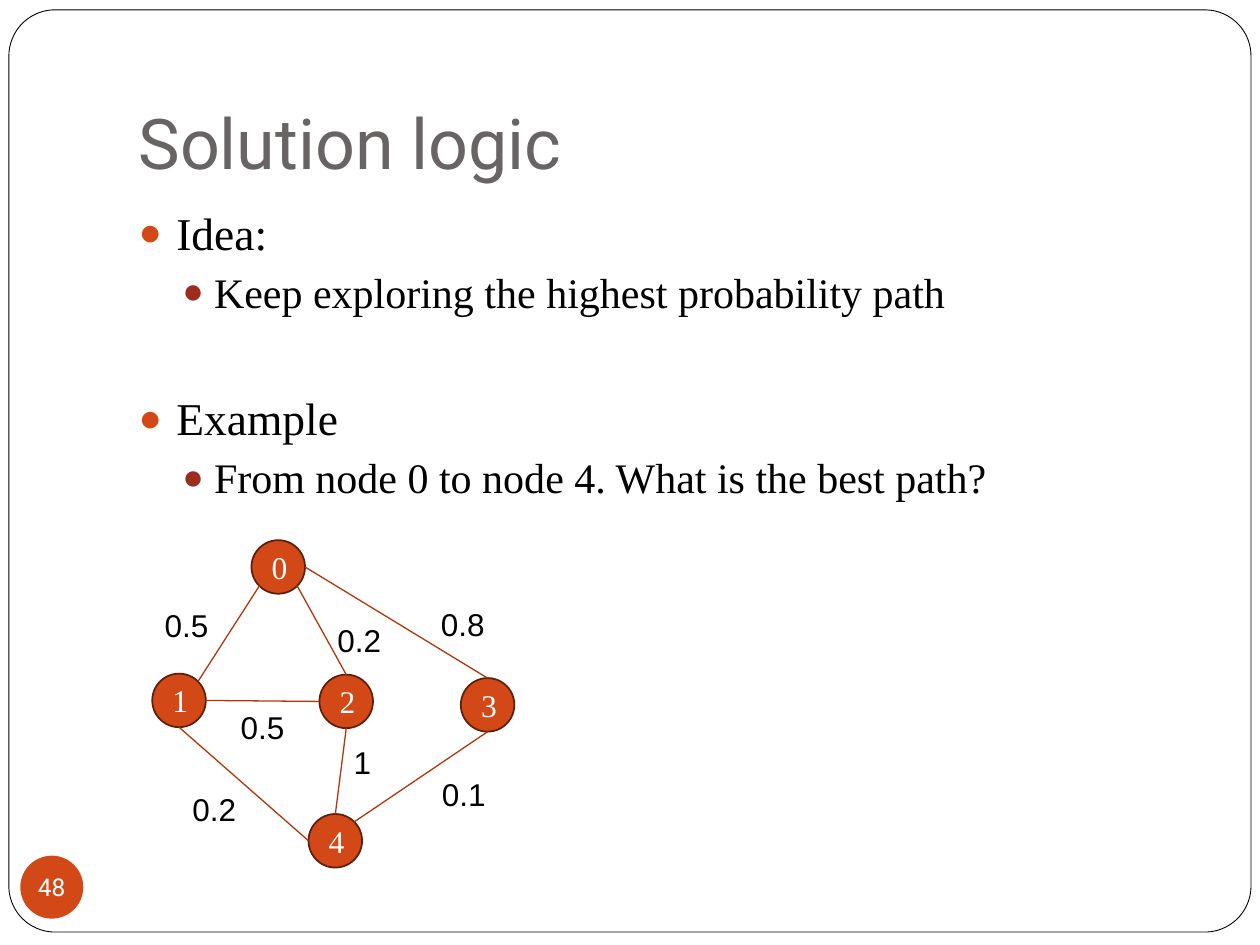
import math

import lxml.etree
import pptx
import pptx.dml.color
import pptx.enum.shapes
import pptx.enum.text
import pptx.oxml.ns
import pptx.util

Cm = pptx.util.Cm
Pt = pptx.util.Pt
RGBColor = pptx.dml.color.RGBColor
SHAPE = pptx.enum.shapes.MSO_SHAPE
ANCHOR = pptx.enum.text.MSO_ANCHOR
ALIGN = pptx.enum.text.PP_ALIGN
qn = pptx.oxml.ns.qn

ORANGE = RGBColor(0xD3, 0x48, 0x17)
DARK_RED = RGBColor(0x9B, 0x2D, 0x1F)
NODE_RIM = RGBColor(0x5C, 0x20, 0x0A)
EDGE_RED = RGBColor(0xB1, 0x36, 0x0B)
TITLE_GRAY = RGBColor(0x69, 0x64, 0x64)
BLACK = RGBColor(0, 0, 0)
WHITE = RGBColor(255, 255, 255)

# Content: (level, text, space before in points)
TITLE = "Solution logic"
PAGE_NUMBER = "48"
POINTS = [
    (0, "Idea:", 5.8),
    (1, "Keep exploring the highest probability path", 3.8),
    (0, "Example", 42),
    (1, "From node 0 to node 4. What is the best path?", 3.8),
]
# Per level: size in points, bullet colour, left margin and hanging indent in cm
LEVELS = [(26, ORANGE, 0.76, 0.76), (24, DARK_RED, 1.52, 0.64)]

# Graph: node centres, edges with their ports, weights with the label's corner (cm)
NODE_SIZE = 1.08
NODES = {
    "0": (5.61, 11.43),
    "1": (3.61, 14.12),
    "2": (6.98, 14.14),
    "3": (9.83, 14.21),
    "4": (6.76, 16.95),
}
EDGES = [
    ("0", "bottom left", "1", "top right"),
    ("0", "bottom right", "2", "top"),
    ("1", "right", "2", "left"),
    ("0", "right", "3", "top"),
    ("1", "bottom", "4", "left"),
    ("2", "bottom", "4", "top"),
    ("3", "bottom", "4", "top right"),
]
WEIGHTS = [
    ("0.5", 3.07, 12.09),
    ("0.5", 4.60, 14.15),
    ("0.2", 6.55, 12.40),
    ("0.8", 8.64, 12.07),
    ("1", 6.88, 14.86),
    ("0.2", 3.63, 15.80),
    ("0.1", 8.66, 15.49),
]
PORT_ANGLES = {
    "right": 0, "bottom right": 45, "bottom": 90, "bottom left": 135,
    "left": 180, "top": 270, "top right": 315,
}


def style(paragraph, face, size, color, align=ALIGN.LEFT):
    paragraph.alignment = align
    paragraph.font.name = face
    paragraph.font.size = Pt(size)
    paragraph.font.color.rgb = color


def place(part, left, top, width, height):
    part.left, part.top = Cm(left), Cm(top)
    part.width, part.height = Cm(width), Cm(height)


def add_outline(slide, kind, box, fill, line=None, weight=1):
    outline = slide.shapes.add_shape(kind, *map(Cm, box))
    outline.shadow.inherit = False
    outline.fill.solid()
    outline.fill.fore_color.rgb = fill
    if line is None:
        outline.line.fill.background()
    else:
        outline.line.color.rgb = line
        outline.line.width = Pt(weight)
    return outline


def add_disc(slide, text, left, top, size, face, points, line=None):
    disc = add_outline(slide, SHAPE.OVAL, (left, top, size, size), ORANGE, line)
    disc.text_frame.text = text
    disc.text_frame.vertical_anchor = ANCHOR.MIDDLE
    style(disc.text_frame.paragraphs[0], face, points, WHITE, ALIGN.CENTER)
    return disc


def set_bullet(paragraph, color, margin, hanging):
    properties = paragraph._p.get_or_add_pPr()
    properties.set("marL", str(Cm(margin)))
    properties.set("indent", str(-Cm(hanging)))
    bullet_color = lxml.etree.SubElement(properties, qn("a:buClr"))
    lxml.etree.SubElement(bullet_color, qn("a:srgbClr"), val=str(color))
    lxml.etree.SubElement(properties, qn("a:buSzPct"), val="85000")
    lxml.etree.SubElement(properties, qn("a:buChar"), char="●")


def port_position(node, port):
    x, y = NODES[node]
    angle = math.radians(PORT_ANGLES[port])
    radius = NODE_SIZE / 2
    return Cm(x + radius * math.cos(angle)), Cm(y + radius * math.sin(angle))


def add_edge(slide, discs, start, start_port, end, end_port):
    edge = slide.shapes.add_connector(
        pptx.enum.shapes.MSO_CONNECTOR.STRAIGHT,
        *port_position(start, start_port), *port_position(end, end_port))
    edge.line.color.rgb = EDGE_RED
    edge.line.width = Pt(0.75)
    lxml.etree.SubElement(edge._element.spPr, qn("a:effectLst"))
    if end_port == "top":
        edge.end_connect(discs[end], 0)


def add_weight(slide, text, left, top):
    label = slide.shapes.add_textbox(Cm(left), Cm(top), Cm(1.65), Cm(1.02))
    label.text_frame.word_wrap = True
    label.text_frame.text = text
    style(label.text_frame.paragraphs[0], "Arial", 18, BLACK)


def main():
    deck = pptx.Presentation()
    deck.slide_width, deck.slide_height = Cm(25.4), Cm(19.05)
    slide = deck.slides.add_slide(deck.slide_layouts[1])
    title, body = slide.placeholders

    # Rounded frame, behind everything else
    frame = add_outline(slide, SHAPE.ROUNDED_RECTANGLE,
                        (0.18, 0.2, 25.04, 18.59), WHITE, BLACK, 0.5)
    frame.adjustments[0] = 0.05
    title._element.addprevious(frame._element)

    # Title
    place(title, 2.54, 0.76, 21.59, 3.18)
    heading = title.text_frame
    heading.text = TITLE
    heading.vertical_anchor = ANCHOR.BOTTOM
    heading.margin_bottom = Cm(0.25)
    heading.auto_size = pptx.enum.text.MSO_AUTO_SIZE.NONE
    style(heading.paragraphs[0], "Roboto", 40, TITLE_GRAY)

    # Bulleted list
    place(body, 2.54, 4.01, 21.59, 12.7)
    points = body.text_frame
    points.auto_size = pptx.enum.text.MSO_AUTO_SIZE.NONE
    points.text = "\n".join(text for _, text, _ in POINTS)
    for paragraph, (level, _, space) in zip(points.paragraphs, POINTS):
        size, color, margin, hanging = LEVELS[level]
        paragraph.level = level
        paragraph.space_before = Pt(space)
        set_bullet(paragraph, color, margin, hanging)
        style(paragraph, "Times New Roman", size, BLACK)

    # Page number
    badge = add_disc(slide, PAGE_NUMBER, 0.41, 17.25, 1.27, "Roboto", 14).text_frame
    badge.word_wrap = False
    badge.margin_left = badge.margin_right = 0
    badge.margin_top = badge.margin_bottom = 0

    # Weighted graph
    discs = {
        name: add_disc(slide, name, x - NODE_SIZE / 2, y - NODE_SIZE / 2,
                       NODE_SIZE, "Times New Roman", 18, NODE_RIM)
        for name, (x, y) in NODES.items()
    }
    for edge in EDGES:
        add_edge(slide, discs, *edge)
    for weight in WEIGHTS:
        add_weight(slide, *weight)

    deck.save("out.pptx")


if __name__ == "__main__":
    main()
